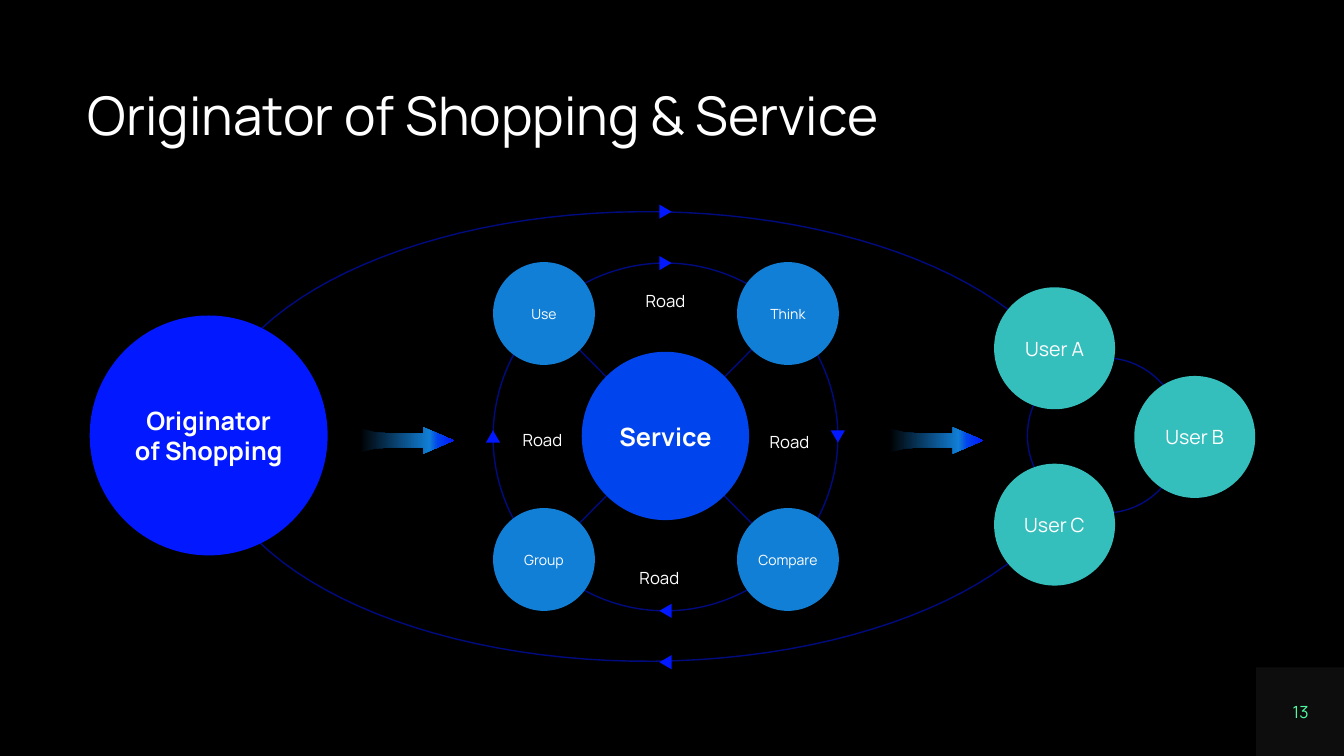
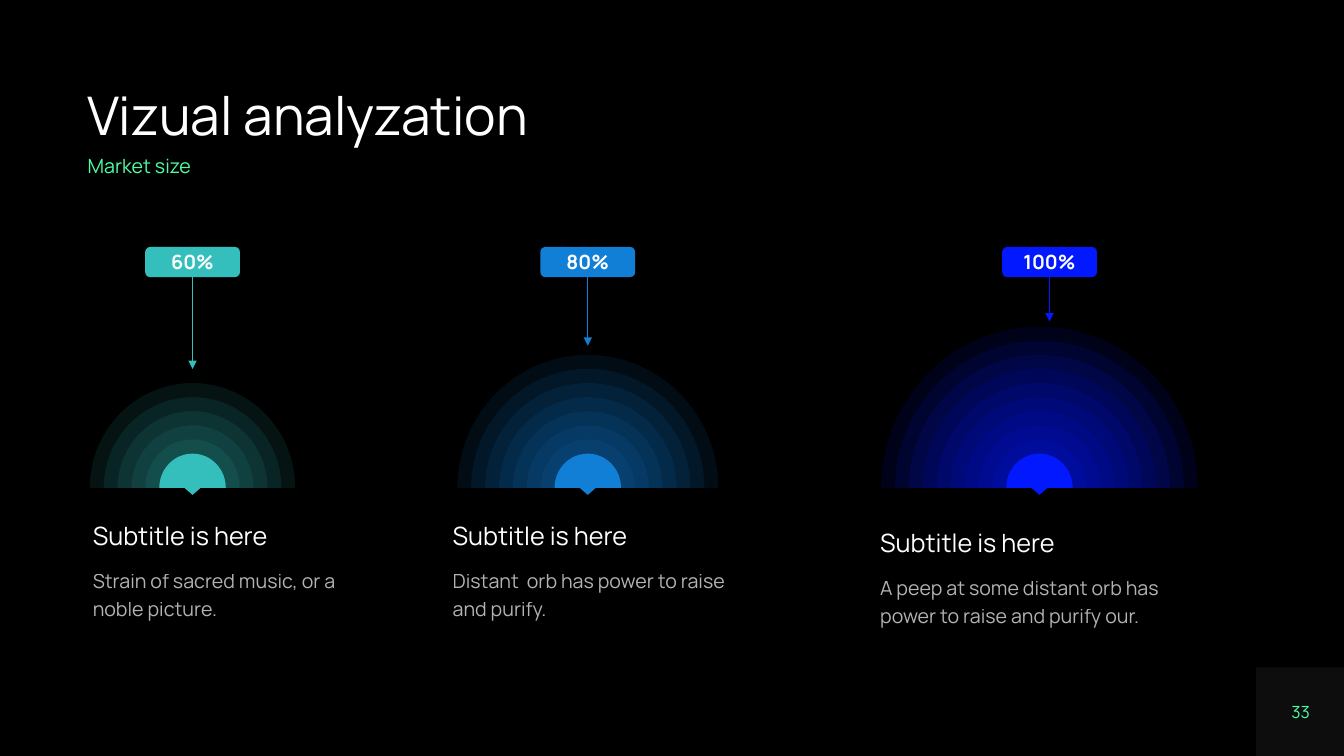
"""Build a service cycle diagram slide and a market size slide."""
from math import cos, radians, sin

from lxml.etree import SubElement
from pptx import Presentation
from pptx.dml.color import RGBColor
from pptx.enum.shapes import MSO_CONNECTOR as CONN, MSO_SHAPE as SHAPE
from pptx.enum.text import MSO_ANCHOR as ANCHOR, PP_ALIGN as ALIGN
from pptx.oxml.ns import qn
from pptx.util import Inches, Pt

FONT = "Manrope"
BLACK = RGBColor(0x00, 0x00, 0x00)
WHITE = RGBColor(0xFF, 0xFF, 0xFF)
GRAY = RGBColor(0x80, 0x80, 0x80)
GREEN = RGBColor(0x4E, 0xFD, 0xA2)
TEAL = RGBColor(0x34, 0xBE, 0xBC)
SKY = RGBColor(0x11, 0x7F, 0xD6)
ROYAL = RGBColor(0x00, 0x44, 0xED)
BLUE = RGBColor(0x02, 0x18, 0xFF)
NAVY = RGBColor(0x00, 0x0B, 0x80)


def write(sp, text, size, color=WHITE, bold=False, align=ALIGN.CENTER,
          anchor=ANCHOR.MIDDLE, wrap=True, inset=0, spacing=None):
    """Set the text of a shape and format its first paragraph."""
    tf = sp.text_frame
    tf.text = text
    tf.word_wrap = wrap
    tf.vertical_anchor = anchor
    tf.margin_left = tf.margin_right = Inches(inset)
    tf.margin_top = tf.margin_bottom = 0
    p = tf.paragraphs[0]
    p.alignment = align
    p.line_spacing = spacing
    font = p.runs[0].font
    font.name, font.size, font.bold = FONT, Pt(size), bold
    font.color.rgb = color
    return tf


def outline(slide, points, fill=None, closed=True):
    """Draw a polygon or an open curve through points given in inches."""
    pts = [(Inches(x), Inches(y)) for x, y in points]
    builder = slide.shapes.build_freeform(*pts[0])
    builder.add_line_segments(pts[1:], close=closed)
    sp = builder.convert_to_shape()
    sp.shadow.inherit = False
    if fill is None:
        sp.fill.background()
        sp.line.color.rgb = NAVY
        sp.line.width = Pt(1)
    else:
        sp.fill.solid()
        sp.fill.fore_color.rgb = fill
        sp.line.fill.background()
    return sp


prs = Presentation()
prs.slide_width, prs.slide_height = Inches(13.33), Inches(7.5)

slides = []
for title, number in [("Originator of Shopping & Service", "13"),
                      ("Vizual analyzation", "33")]:
    s = prs.slides.add_slide(prs.slide_layouts[6])
    s.background.fill.solid()
    s.background.fill.fore_color.rgb = BLACK
    panel = s.shapes.add_shape(SHAPE.RECTANGLE, Inches(12.46), Inches(6.62),
                               Inches(0.87), Inches(0.88))
    panel.shadow.inherit = False
    panel.fill.solid()
    panel.fill.fore_color.rgb = GRAY
    panel.line.fill.background()
    clr = next(panel._element.spPr.iter(qn("a:srgbClr")))
    SubElement(clr, qn("a:alpha"), val="10000")
    box = s.shapes.add_textbox(Inches(0.87), Inches(0.89), Inches(11.59), Inches(0.58))
    write(box, title, 38, align=ALIGN.LEFT, anchor=ANCHOR.TOP, spacing=0.9)
    box = s.shapes.add_textbox(Inches(12.78), Inches(6.96), Inches(0.24), Inches(0.2))
    write(box, number, 12, GREEN, wrap=False)
    slides.append(s)

cycle, market = slides

arc = [radians(a) for a in range(29, 330, 3)]
outline(cycle, [(6.41 + 4.35 * cos(a), 4.33 + 2.23 * sin(a)) for a in arc], closed=False)

for left, top, w, h in [(4.89, 2.61, 3.42, 3.45), (10.19, 3.55, 1.53, 1.54)]:
    ring = cycle.shapes.add_shape(SHAPE.OVAL, Inches(left), Inches(top), Inches(w), Inches(h))
    ring.shadow.inherit = False
    ring.fill.background()
    ring.line.color.rgb = NAVY
    ring.line.width = Pt(1)

for x, y, dx, dy in [(6.6, 2.1, 1, 0), (6.6, 6.57, -1, 0), (6.6, 2.61, 1, 0),
                     (8.31, 4.33, 0, 1), (6.6, 6.06, -1, 0), (4.89, 4.33, 0, -1)]:
    back_x, back_y = x - 0.06 * dx, y - 0.06 * dy
    outline(cycle, [(x + 0.06 * dx, y + 0.06 * dy),
                    (back_x - 0.07 * dy, back_y + 0.07 * dx),
                    (back_x + 0.07 * dy, back_y - 0.07 * dx)], BLUE)

for x1, x2 in [(7.81, 5.39), (5.39, 7.81)]:
    spoke = cycle.shapes.add_connector(CONN.STRAIGHT, Inches(x1), Inches(5.55),
                                       Inches(x2), Inches(3.11))
    spoke.line.color.rgb = NAVY
    spoke.line.width = Pt(1)
    SubElement(spoke._element.spPr, qn("a:effectLst"))

upper = [(0, -0.12), (0.15, -0.08), (0.31, -0.07), (0.63, -0.07), (0.63, -0.13)]
arrow_shape = upper + [(0.93, 0)] + [(x, -y) for x, y in reversed(upper)]
for left in (3.57, 8.82):
    sp = outline(cycle, [(left + x, 4.37 + y) for x, y in arrow_shape], BLUE)
    sp.fill.gradient()
    sp.fill.gradient_angle = 0
    stops = next(sp._element.spPr.iter(qn("a:gsLst")))
    stops.clear()
    for pos, color in [(0, BLACK), (74, SKY), (83, ROYAL), (100, BLUE)]:
        stop = SubElement(stops, qn("a:gs"), pos=str(pos * 1000))
        SubElement(stop, qn("a:srgbClr"), val=str(color))

for text, left, top, w, h, color, size, bold, inset in [
        ("Originator of Shopping", 0.89, 3.13, 2.36, 2.38, BLUE, 18, True, 0.1),
        ("User B", 11.25, 3.73, 1.2, 1.21, TEAL, 14, False, 0),
        ("User C", 9.86, 4.6, 1.2, 1.21, TEAL, 14, False, 0),
        ("User A", 9.86, 2.85, 1.2, 1.21, TEAL, 14, False, 0),
        ("Group", 4.89, 5.04, 1.01, 1.02, SKY, 10, False, 0),
        ("Use", 4.89, 2.6, 1.01, 1.02, SKY, 10, False, 0),
        ("Compare", 7.31, 5.04, 1.01, 1.02, SKY, 10, False, 0),
        ("Think", 7.31, 2.6, 1.01, 1.02, SKY, 10, False, 0),
        ("Service", 5.77, 3.49, 1.66, 1.67, ROYAL, 18, True, 0)]:
    sp = cycle.shapes.add_shape(SHAPE.OVAL, Inches(left), Inches(top), Inches(w), Inches(h))
    sp.shadow.inherit = False
    sp.fill.solid()
    sp.fill.fore_color.rgb = color
    sp.line.fill.background()
    write(sp, text, size, bold=bold, inset=inset)

for left, top in [(6.28, 2.83), (6.22, 5.58), (5.06, 4.21), (7.51, 4.23)]:
    box = cycle.shapes.add_textbox(Inches(left), Inches(top), Inches(0.64), Inches(0.3))
    write(box, "Road", 12, wrap=False)

box = market.shapes.add_textbox(Inches(0.87), Inches(1.55), Inches(2.1), Inches(0.21))
write(box, "Market size", 14, GREEN, align=ALIGN.LEFT, anchor=ANCHOR.TOP, spacing=0.9)

BASE = 4.84
HALF_TURN = str(180 * 60000)
for share, color, cx, badge_cx, tip_y, rings, left, top, width, body in [
        ("60%", TEAL, 1.91, 1.91, 3.66, 5, 0.92, 5.1, 2.58,
         "Strain of sacred music, or a noble picture."),
        ("80%", SKY, 5.83, 5.83, 3.43, 7, 4.49, 5.1, 2.8,
         "Distant  orb has power to raise and purify."),
        ("100%", BLUE, 10.31, 10.41, 3.19, 9, 8.73, 5.17, 3.14,
         "A peep at some distant orb has power to raise and purify our.")]:
    for k in range(rings, -1, -1):
        rx, ry = 0.33 + 1.24 * k / 9, 0.34 + 0.14 * k
        points = [(cx - rx, BASE), (cx, BASE - ry), (cx + rx, BASE)]
        if k == 0:
            points += [(cx + 0.08, BASE), (cx, BASE + 0.07), (cx - 0.08, BASE)]
        sp = outline(market, points, color)
        rise, fall = list(sp._element.spPr.iter(qn("a:lnTo")))[:2]
        dome = SubElement(rise.getparent(), qn("a:arcTo"), wR=str(Inches(rx)),
                          hR=str(Inches(ry)), stAng=HALF_TURN, swAng=HALF_TURN)
        rise.getparent().replace(rise, dome)
        fall.getparent().remove(fall)
        if k > 0:
            clr = next(sp._element.spPr.iter(qn("a:srgbClr")))
            SubElement(clr, qn("a:alpha"), val="10000")

    badge = market.shapes.add_shape(SHAPE.ROUNDED_RECTANGLE, Inches(badge_cx - 0.47),
                                    Inches(2.45), Inches(0.94), Inches(0.3))
    badge.shadow.inherit = False
    badge.fill.solid()
    badge.fill.fore_color.rgb = color
    badge.line.fill.background()
    write(badge, share, 14, bold=True)

    pointer = market.shapes.add_connector(CONN.STRAIGHT, Inches(badge_cx), Inches(2.75),
                                          Inches(badge_cx), Inches(tip_y))
    pointer.begin_connect(badge, 2)
    pointer.line.color.rgb = color
    pointer.line.width = Pt(0.5)
    SubElement(pointer._element.spPr.find(qn("a:ln")), qn("a:tailEnd"), type="triangle")
    SubElement(pointer._element.spPr, qn("a:effectLst"))

    box = market.shapes.add_textbox(Inches(left), Inches(top), Inches(width), Inches(1.05))
    tf = write(box, "Subtitle is here", 18, align=ALIGN.LEFT, anchor=ANCHOR.TOP, spacing=1.2)
    p = tf.add_paragraph()
    p.text = body
    p.line_spacing = 1.2
    p.space_before = Pt(10)
    r = p.runs[0]
    r.font.name, r.font.size = FONT, Pt(14)
    r.font.color.rgb = WHITE
    SubElement(next(r._r.iter(qn("a:srgbClr"))), qn("a:alpha"), val="70000")

prs.save("out.pptx")
